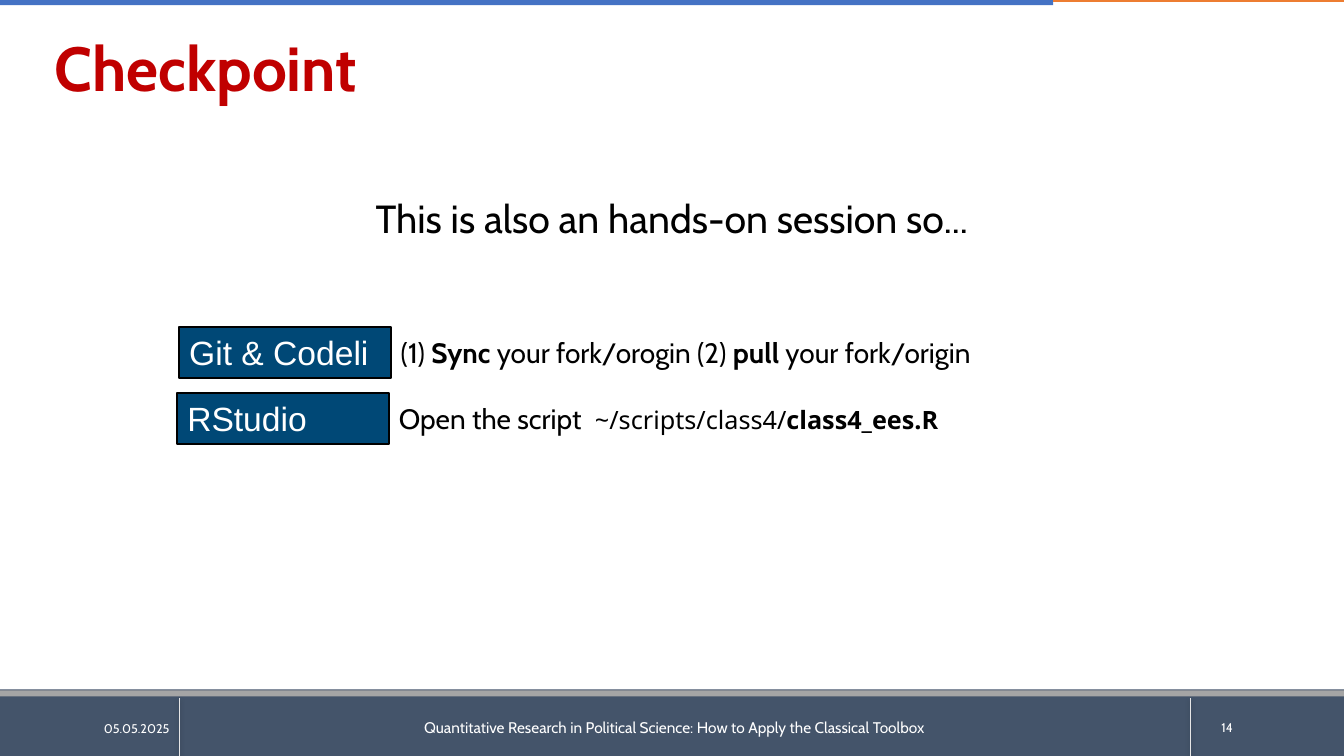
from dataclasses import dataclass

import pptx
import pptx.dml.color
import pptx.enum.shapes
import pptx.enum.text
import pptx.oxml
import pptx.oxml.ns
import pptx.shapes.autoshape
import pptx.slide
import pptx.text.text
import pptx.util

Cm = pptx.util.Cm
Align = pptx.enum.text.PP_ALIGN
Anchor = pptx.enum.text.MSO_ANCHOR

SHADOW = (
    f'<a:effectLst {pptx.oxml.ns.nsdecls("a")}>'
    '<a:outerShdw blurRad="39370" dist="20320" dir="5400000" rotWithShape="0">'
    '<a:srgbClr val="000000"><a:alpha val="38000"/></a:srgbClr>'
    '</a:outerShdw></a:effectLst>'
)


@dataclass
class Box:
    left: float
    top: float
    width: float
    height: float

    def lengths(self) -> tuple[Cm, Cm, Cm, Cm]:
        return Cm(self.left), Cm(self.top), Cm(self.width), Cm(self.height)


@dataclass
class Run:
    text: str
    size: float
    color: str = "000000"
    bold: bool = False
    font: str = "Cabin"


@dataclass
class Band:
    box: Box
    color: str


@dataclass
class TextItem:
    box: Box
    run: Run
    align: Align
    anchor: Anchor


@dataclass
class Task:
    left: float
    top: float
    label: str
    instructions: list[Run]


BANDS = [
    Band(Box(-0.02, 17.37, 33.9, 1.68), "44546A"),
    Band(Box(0, 17.4, 33.9, 0.15), "A5A5A5"),
    Band(Box(0, 0, 26.54, 0.13), "4472C4"),
    Band(Box(26.54, 0, 7.34, 0.05), "ED7D31"),
]
DIVIDERS = [4.52, 30.0]
TEXT_ITEMS = [
    TextItem(Box(4.52, 17.83, 24.97, 1.02),
             Run("Quantitative Research in Political Science: How to Apply the Classical Toolbox",
                 11, "FFFFFF"), Align.CENTER, Anchor.MIDDLE),
    TextItem(Box(30.53, 17.83, 3.33, 1.02), Run("14", 9, "FFFFFF"), Align.LEFT, Anchor.MIDDLE),
    TextItem(Box(1.12, 17.86, 3.4, 0.99), Run("05.05.2025", 9, "FFFFFF"),
             Align.RIGHT, Anchor.MIDDLE),
    TextItem(Box(7.92, 4.78, 18.01, 1.45), Run("This is also an hands-on session so...", 28),
             Align.CENTER, Anchor.TOP),
]
TASKS = [
    Task(4.52, 8.25, "Git & Codeli", [
        Run("(1)", 20),
        Run(" Sync ", 20, bold=True),
        Run("your fork/orogin (2) ", 20),
        Run("pull", 20, bold=True),
        Run(" your fork/origin", 20),
    ]),
    Task(4.47, 9.91, "RStudio", [
        Run("Open the script ", 20),
        Run(" ", 18, font="Arial"),
        Run("~/scripts/class4/", 18, font="Noto Sans"),
        Run("class4_ees.R", 18, bold=True, font="Noto Sans"),
    ]),
]
LABEL_WIDTH, LABEL_HEIGHT = 5.33, 1.27


def rgb(color: str) -> pptx.dml.color.RGBColor:
    return pptx.dml.color.RGBColor.from_string(color)


def write(text_frame: pptx.text.text.TextFrame, runs: list[Run],
          align: Align = Align.LEFT, anchor: Anchor = Anchor.TOP) -> None:
    text_frame.word_wrap = True
    text_frame.auto_size = pptx.enum.text.MSO_AUTO_SIZE.NONE
    text_frame.vertical_anchor = anchor
    paragraph = text_frame.paragraphs[0]
    paragraph.alignment = align
    for item in runs:
        run = paragraph.add_run()
        run.text = item.text
        run.font.name = item.font
        run.font.size = pptx.util.Pt(item.size)
        run.font.bold = item.bold
        run.font.color.rgb = rgb(item.color)


def add_rectangle(slide: pptx.slide.Slide, box: Box,
                  color: str) -> pptx.shapes.autoshape.Shape:
    shape = slide.shapes.add_shape(pptx.enum.shapes.MSO_SHAPE.RECTANGLE, *box.lengths())
    shape.shadow.inherit = False
    shape.fill.solid()
    shape.fill.fore_color.rgb = rgb(color)
    shape.line.fill.background()
    return shape


def add_divider(slide: pptx.slide.Slide, left: float) -> None:
    line = slide.shapes.add_connector(pptx.enum.shapes.MSO_CONNECTOR.STRAIGHT,
                                      Cm(left), Cm(17.6), Cm(left), Cm(19.05))
    line.line.color.rgb = rgb("E7E6E6")
    line.line.width = pptx.util.Pt(0.5)
    line._element.spPr.append(pptx.oxml.parse_xml(SHADOW))


def add_title(slide: pptx.slide.Slide) -> None:
    title = slide.shapes.title
    title.left, title.top, title.width, title.height = Box(1.12, 0.9, 24.64, 1.9).lengths()
    write(title.text_frame, [Run("Checkpoint", 44.4, "C00000", True)], anchor=Anchor.MIDDLE)
    title.text_frame.paragraphs[0].line_spacing = 0.8


def add_text(slide: pptx.slide.Slide, box: Box, runs: list[Run],
             align: Align = Align.LEFT, anchor: Anchor = Anchor.TOP) -> None:
    write(slide.shapes.add_textbox(*box.lengths()).text_frame, runs, align, anchor)


def add_task(slide: pptx.slide.Slide, task: Task) -> None:
    """Draw a labelled box with its instructions to the right."""
    label = add_rectangle(slide, Box(task.left, task.top, LABEL_WIDTH, LABEL_HEIGHT), "004876")
    label.line.color.rgb = rgb("000000")
    label.line.width = pptx.util.Pt(1.5)
    write(label.text_frame, [Run(task.label, 24, "FFFFFF", font="Arial")])
    add_text(slide, Box(task.left + LABEL_WIDTH, task.top + 0.08, 18.01, 1.12),
             task.instructions)


def main() -> None:
    presentation = pptx.Presentation()
    presentation.slide_width, presentation.slide_height = Cm(33.87), Cm(19.05)
    slide = presentation.slides.add_slide(presentation.slide_layouts.get_by_name("Title Only"))
    for band in BANDS:
        add_rectangle(slide, band.box, band.color)
    for left in DIVIDERS:
        add_divider(slide, left)
    add_title(slide)
    for item in TEXT_ITEMS:
        add_text(slide, item.box, [item.run], item.align, item.anchor)
    for task in TASKS:
        add_task(slide, task)
    presentation.save("out.pptx")


if __name__ == "__main__":
    main()
